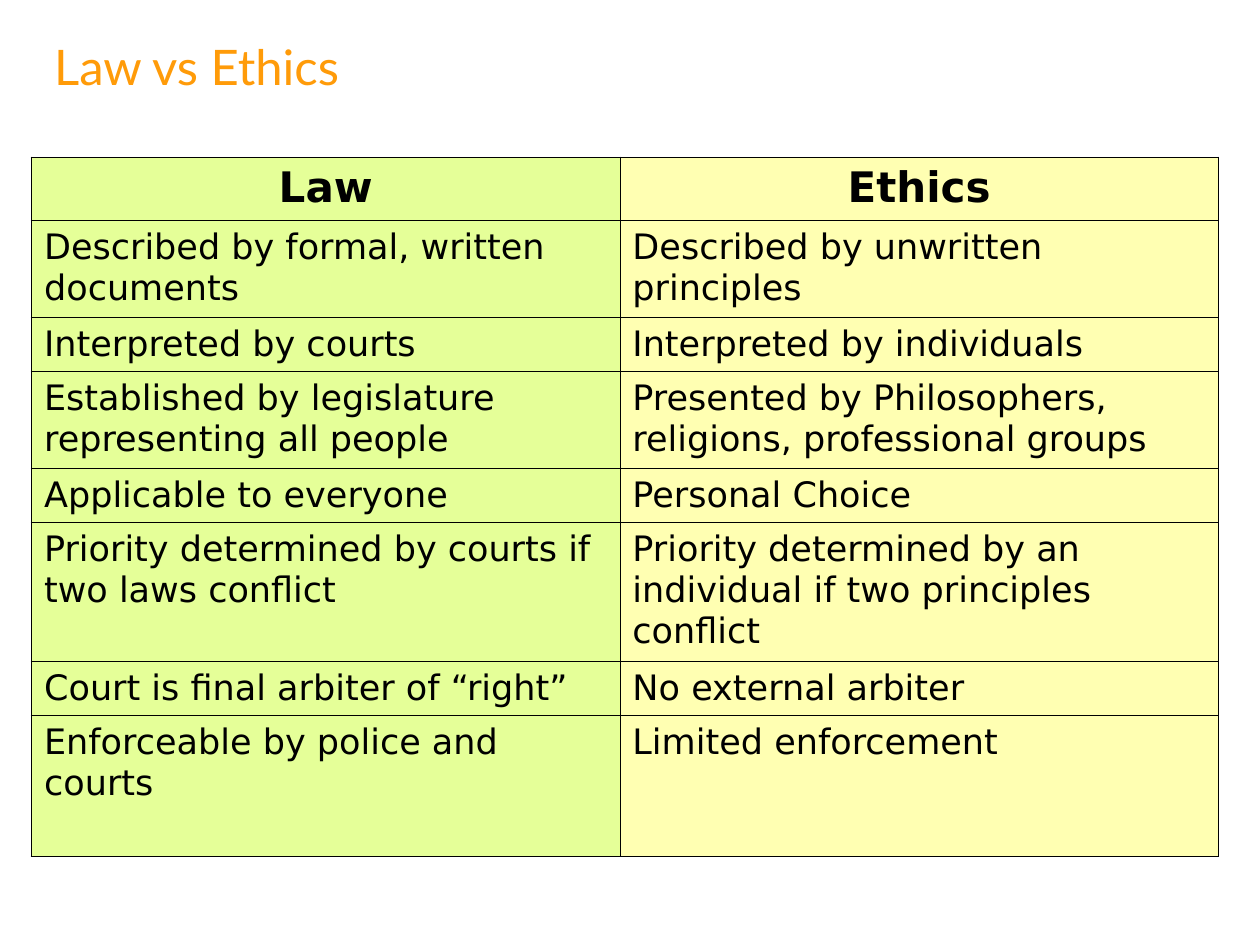
from lxml.etree import SubElement
from pptx import Presentation
from pptx.dml.color import RGBColor
from pptx.enum.text import MSO_ANCHOR, PP_ALIGN
from pptx.oxml.ns import qn
from pptx.util import Emu, Pt

SCALE = 9144  # EMU per px, 100 px to the inch
COLORS = {"title": "FF9B09", "text": "000000", "line": "000000",
          "law": "CCFF33", "ethics": "FFFF66"}
THIN, THICK = 0.45, 1.08
WIDTHS = [467, 475]
HEIGHTS = [50, 77, 43, 77, 43, 110, 43, 112]
ROWS = [
    ("Law", "Ethics"),
    ("Described by formal, written documents", "Described by unwritten principles"),
    ("Interpreted by courts", "Interpreted by individuals"),
    ("Established by legislature representing all people",
     "Presented by Philosophers, religions, professional groups"),
    ("Applicable to everyone", "Personal Choice"),
    ("Priority determined by courts if two laws conflict",
     "Priority determined by an individual if two principles conflict"),
    ("Court is final arbiter of “right”", "No external arbiter"),
    ("Enforceable by police and courts", "Limited enforcement"),
]


def px(n):
    return Emu(n * SCALE)


def write(frame, text, font="DejaVu Sans", size=20, color="text", bold=False,
          align=PP_ALIGN.LEFT):
    para = frame.paragraphs[0]
    para.alignment = align
    run = para.add_run()
    run.text = text
    run.font.name = font
    run.font.size = Pt(size)
    run.font.bold = bold
    run.font.color.rgb = RGBColor.from_string(COLORS[color])


class Deck:
    def __init__(self):
        self.show = Presentation()
        self.show.slide_width, self.show.slide_height = px(1000), px(750)
        self.slide = self.show.slides.add_slide(self.show.slide_layouts[5])

    def title(self, text, left, top, width, height):
        box = self.slide.shapes.title
        box.left, box.top, box.width, box.height = map(px, (left, top, width, height))
        box.text_frame.vertical_anchor = MSO_ANCHOR.MIDDLE
        write(box.text_frame, text, font="Lato", size=28, color="title")

    def edge(self, cell, side, width):
        line = SubElement(cell._tc.get_or_add_tcPr(), qn(f"a:ln{side}"), w=str(Pt(width)))
        fill = SubElement(line, qn("a:solidFill"))
        SubElement(fill, qn("a:srgbClr"), val=COLORS["line"])

    def tint(self, cell, color):
        cell.fill.solid()
        cell.fill.fore_color.rgb = RGBColor.from_string(COLORS[color])
        # Half transparent
        tone = cell._tc.tcPr.find(qn("a:solidFill")).find(qn("a:srgbClr"))
        SubElement(tone, qn("a:alpha"), val="50000")

    def table(self, rows, left, top, widths, heights, tints):
        frame = self.slide.shapes.add_table(
            len(rows), len(widths), px(left), px(top), px(sum(widths)), px(sum(heights)))
        grid = frame.table
        grid.first_row = grid.horz_banding = False
        for col, width in zip(grid.columns, widths):
            col.width = px(width)
        for row, height in zip(grid.rows, heights):
            row.height = px(height)
        last, end = len(rows) - 1, len(widths) - 1
        for r, texts in enumerate(rows):
            for c, text in enumerate(texts):
                cell = grid.cell(r, c)
                # Heavier lines on the outer frame
                outer = {"L": c == 0, "R": c == end, "T": r == 0, "B": r == last}
                for side, heavy in outer.items():
                    self.edge(cell, side, THICK if heavy else THIN)
                self.tint(cell, tints[c])
                head = r == 0
                write(cell.text_frame, text, size=24 if head else 20, bold=head,
                      align=PP_ALIGN.CENTER if head else PP_ALIGN.LEFT)


def main():
    deck = Deck()
    deck.title("Law vs Ethics", 33, 25, 900, 55)
    # Comparison table
    deck.table(ROWS, 25, 125, WIDTHS, HEIGHTS, ["law", "ethics"])
    deck.show.save("out.pptx")


if __name__ == "__main__":
    main()
